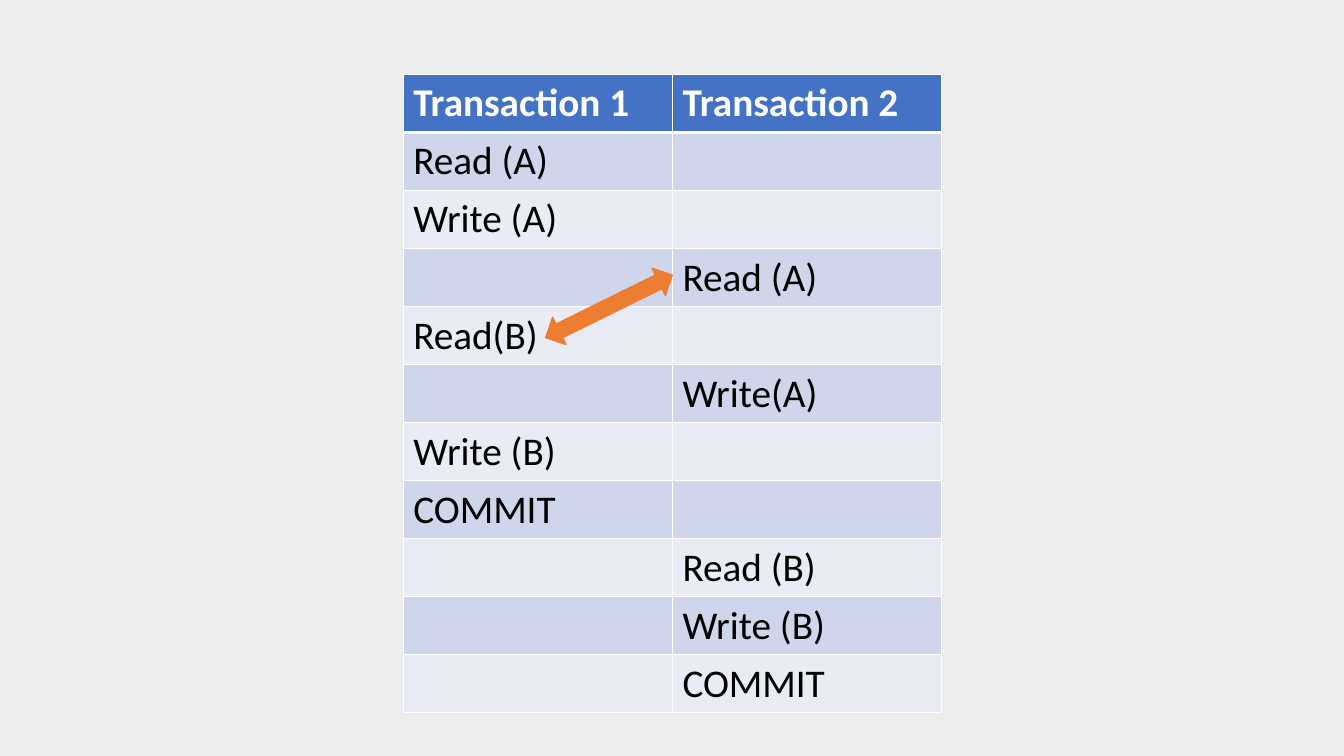
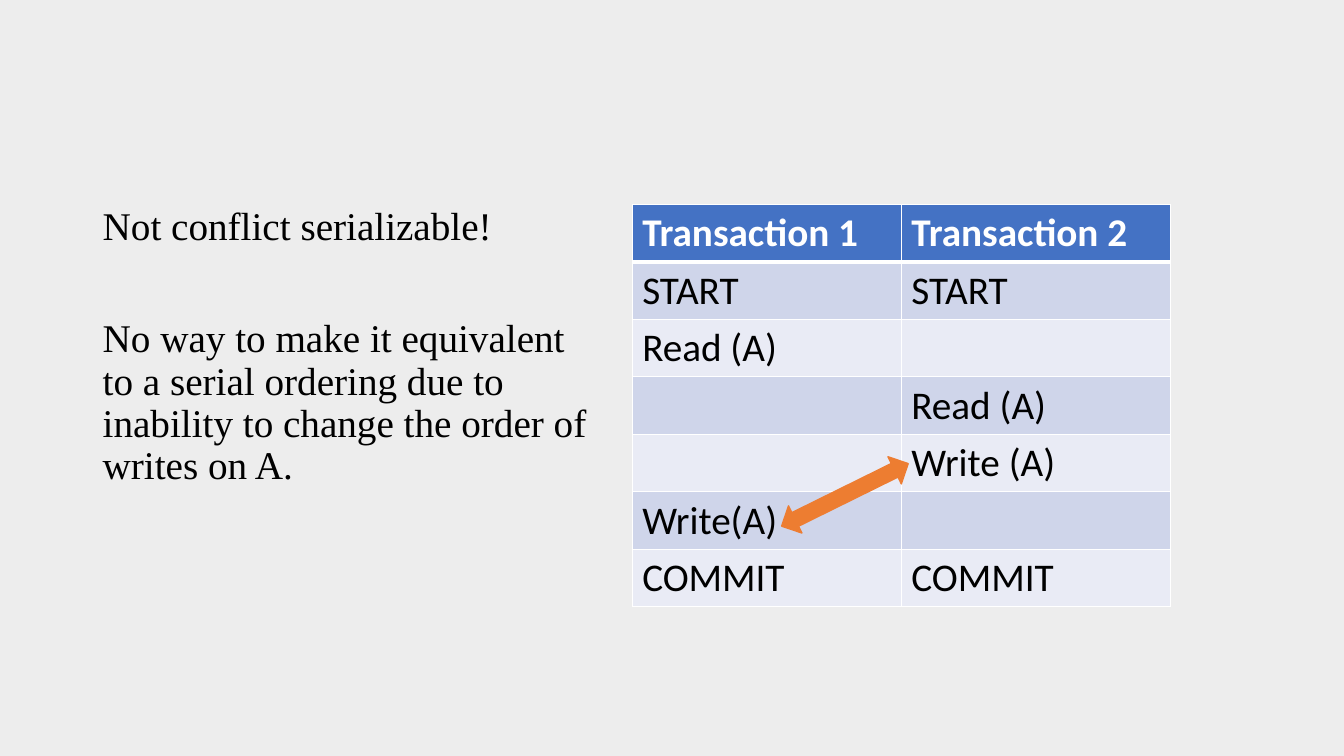
from dataclasses import dataclass

import pptx
import pptx.dml.color
import pptx.enum.shapes
import pptx.oxml
import pptx.oxml.ns
import pptx.presentation
import pptx.slide
import pptx.table
import pptx.util

Inches = pptx.util.Inches
Pt = pptx.util.Pt
Color = pptx.dml.color.RGBColor


@dataclass(frozen=True)
class Theme:
    background: Color = Color(0xED, 0xED, 0xED)
    header: Color = Color(0x44, 0x72, 0xC4)
    bands: tuple[Color, Color] = (Color(0xCF, 0xD5, 0xEA), Color(0xE9, 0xEB, 0xF5))
    white: Color = Color(0xFF, 0xFF, 0xFF)
    black: Color = Color(0, 0, 0)
    arrow: Color = Color(0xED, 0x7D, 0x31)
    arrow_line: Color = Color(0xED, 0x7D, 0x33)
    table_font: str = "Calibri"
    body_font: str = "Times New Roman"
    text_size: float = 28
    thin_border: float = 1
    header_border: float = 3


@dataclass(frozen=True)
class Schedule:
    """The steps of two interleaved transactions, with the conflict marked by an arrow."""
    left: float
    top: float
    steps: tuple[tuple[str, str], ...]
    arrow_left: float
    arrow_top: float


THEME = Theme()
HEADINGS = ("Transaction 1", "Transaction 2")
COLUMN_WIDTH = 2.67
ROW_HEIGHT = 0.57

INTERLEAVED = Schedule(
    left=4, top=0.74, arrow_left=5.89, arrow_top=2.34,
    steps=(
        ("Read (A)", ""),
        ("Write (A)", ""),
        ("", "Read (A)"),
        ("Read(B)", ""),
        ("", "Write(A)"),
        ("Write (B)", ""),
        ("COMMIT", ""),
        ("", "Read (B)"),
        ("", "Write (B)"),
        ("", "COMMIT"),
    ),
)
NOT_SERIALIZABLE = Schedule(
    left=6.27, top=2.03, arrow_left=8.23, arrow_top=4.21,
    steps=(
        ("START", "START"),
        ("Read (A)", ""),
        ("", "Read (A)"),
        ("", "Write (A)"),
        ("Write(A)", ""),
        ("COMMIT", "COMMIT"),
    ),
)
EXPLANATION = (
    "Not conflict serializable!",
    "No way to make it equivalent to a serial ordering due to "
    "inability to change the order of writes on A.",
)


def add_slide(presentation: pptx.presentation.Presentation) -> pptx.slide.Slide:
    slide = presentation.slides.add_slide(presentation.slide_layouts[6])
    fill = slide.background.fill
    fill.solid()
    fill.fore_color.rgb = THEME.background
    return slide


def add_run(paragraph, text: str, font_name: str, color: Color, bold: bool = False) -> None:
    run = paragraph.add_run()
    run.text = text
    run.font.name = font_name
    run.font.size = Pt(THEME.text_size)
    run.font.bold = bold
    run.font.color.rgb = color


def set_borders(cell: pptx.table._Cell, top: float, bottom: float) -> None:
    properties = cell._tc.get_or_add_tcPr()
    widths = {"lnL": THEME.thin_border, "lnR": THEME.thin_border, "lnT": top, "lnB": bottom}
    for tag, width in widths.items():
        properties.append(pptx.oxml.parse_xml(
            f'<a:{tag} {pptx.oxml.ns.nsdecls("a")} w="{Pt(width)}">'
            f'<a:solidFill><a:srgbClr val="{THEME.white}"/></a:solidFill></a:{tag}>'
        ))


def add_schedule_table(slide: pptx.slide.Slide, schedule: Schedule) -> None:
    rows = (HEADINGS, *schedule.steps)
    table = slide.shapes.add_table(
        len(rows), len(HEADINGS), Inches(schedule.left), Inches(schedule.top),
        Inches(COLUMN_WIDTH * len(HEADINGS)), Inches(ROW_HEIGHT * len(rows)),
    ).table
    table.horz_banding = False
    for column in table.columns:
        column.width = Inches(COLUMN_WIDTH)
    for row_index, row in enumerate(rows):
        table.rows[row_index].height = Inches(ROW_HEIGHT)
        is_header = row_index == 0
        top = THEME.header_border if row_index == 1 else THEME.thin_border
        bottom = THEME.header_border if is_header else THEME.thin_border
        for column_index, text in enumerate(row):
            cell = table.cell(row_index, column_index)
            set_borders(cell, top, bottom)
            cell.fill.solid()
            cell.fill.fore_color.rgb = THEME.header if is_header else THEME.bands[(row_index - 1) % 2]
            if text:
                color = THEME.white if is_header else THEME.black
                add_run(cell.text_frame.paragraphs[0], text, THEME.table_font, color, is_header)


def add_conflict_arrow(slide: pptx.slide.Slide, schedule: Schedule) -> None:
    shape = slide.shapes.add_shape(
        pptx.enum.shapes.MSO_SHAPE.UP_DOWN_ARROW,
        Inches(schedule.arrow_left), Inches(schedule.arrow_top), Inches(0.3), Inches(1.4),
    )
    shape.rotation = 63.7
    shape.shadow.inherit = False
    shape.fill.solid()
    shape.fill.fore_color.rgb = THEME.arrow
    shape.line.color.rgb = THEME.arrow_line
    shape.line.width = Pt(1)


def add_schedule(slide: pptx.slide.Slide, schedule: Schedule) -> None:
    add_schedule_table(slide, schedule)
    add_conflict_arrow(slide, schedule)


def add_explanation(slide: pptx.slide.Slide, texts: tuple[str, ...]) -> None:
    frame = slide.shapes.add_textbox(Inches(0.92), Inches(2), Inches(5.08), Inches(4.76)).text_frame
    frame.word_wrap = True
    for index, text in enumerate(texts):
        paragraph = frame.add_paragraph() if index else frame.paragraphs[0]
        paragraph.line_spacing = 0.9
        paragraph.space_before = Pt(50 if index else 0)
        add_run(paragraph, text, THEME.body_font, THEME.black)


def main() -> None:
    presentation = pptx.Presentation()
    presentation.slide_width = Inches(13.33)
    presentation.slide_height = Inches(7.5)

    add_schedule(add_slide(presentation), INTERLEAVED)

    conclusion = add_slide(presentation)
    add_explanation(conclusion, EXPLANATION)
    add_schedule(conclusion, NOT_SERIALIZABLE)

    presentation.save("out.pptx")


if __name__ == "__main__":
    main()
